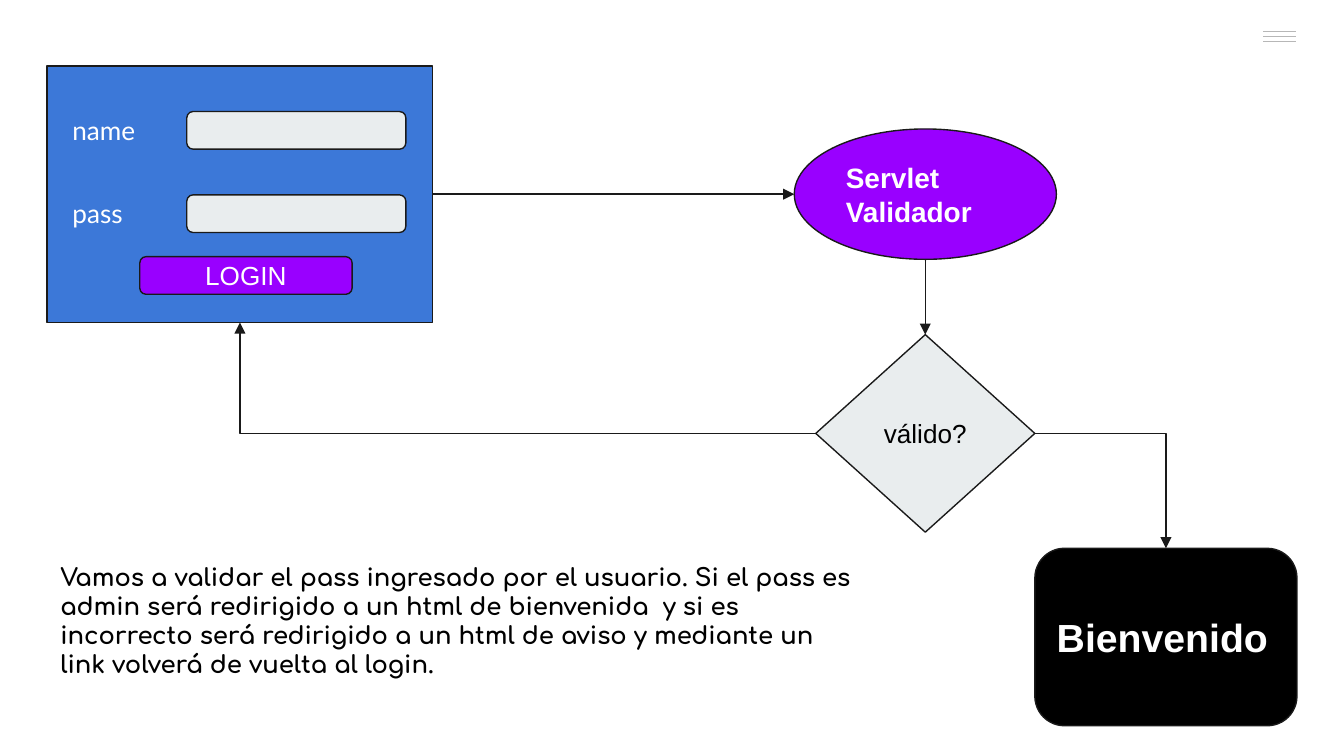
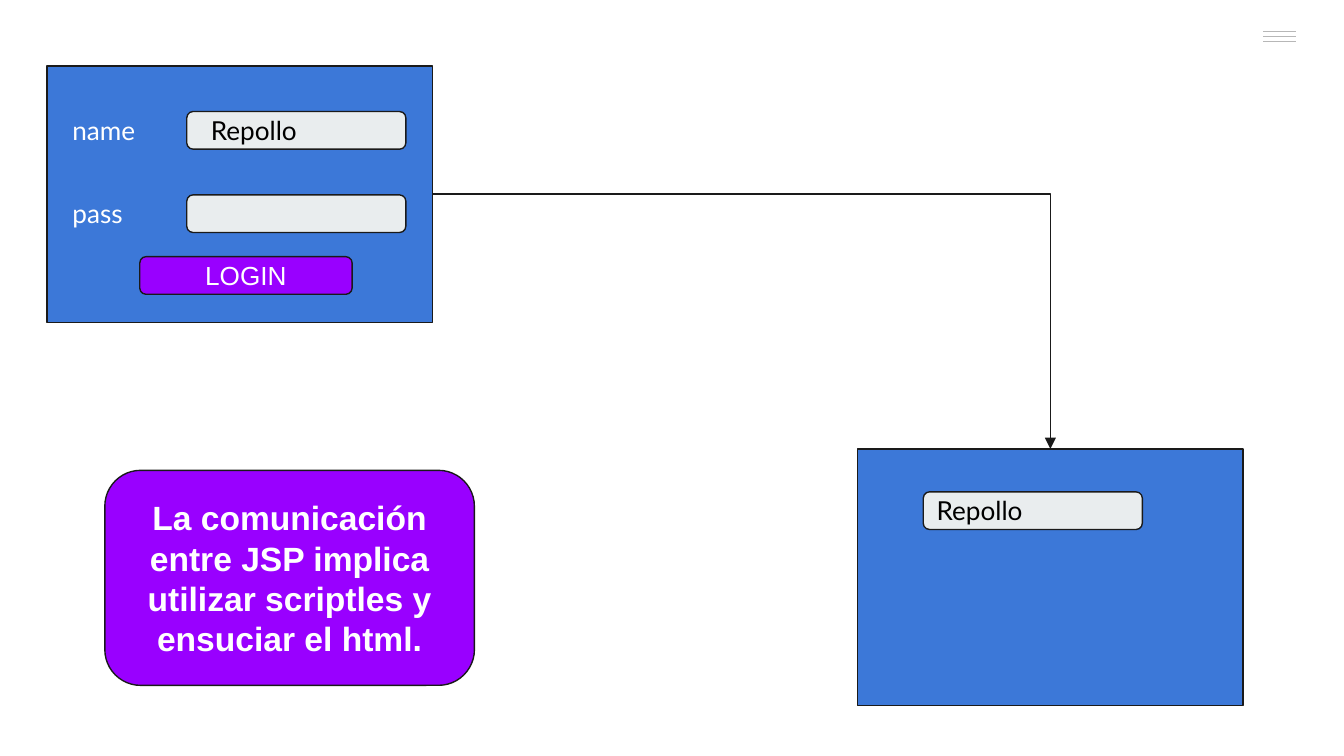
from dataclasses import dataclass
from lxml.etree import SubElement
from pptx import Presentation
from pptx.dml.color import RGBColor
from pptx.enum.shapes import MSO_CONNECTOR as CONN, MSO_SHAPE as SHAPE
from pptx.enum.text import MSO_ANCHOR, MSO_AUTO_SIZE, PP_ALIGN
from pptx.oxml.ns import qn
from pptx.util import Inches, Pt


@dataclass(frozen=True)
class Theme:
    white: str = "FFFFFF"
    black: str = "000000"
    ink: str = "1A1A1A"
    menu: str = "B7B7B7"
    panel: str = "3C78D8"
    field: str = "E9EDEE"
    accent: str = "9900FF"
    arial: str = "Arial"
    lato: str = "Lato"
    comfortaa: str = "Comfortaa"
    small: float = 13
    body: float = 14
    node: float = 15
    callout: float = 18
    big: float = 21
    stroke: float = 0.75


T = Theme()
TOP, LEFT, BOTTOM, RIGHT = range(4)

# Content; lengths are cells of a grid 100 columns wide, with square cells
PANEL_SIZE = (28.7, 19.1)
FIELD_SIZE = (16.3, 2.8)
LABEL_SIZE = (8.2, 4.4)
VALUE_SIZE = (13.7, 4.4)
FORM_AT = (3.5, 4.9)
FORM_ROWS = ["name", "pass"]
ROW_STEP = 6.2
WELCOME_AT = (63.8, 33.4)
USER = "Repollo"
VALIDATION_NOTE = (
    "Vamos a validar el pass ingresado por el usuario. Si el pass es admin "
    "será redirigido a un html de bienvenida  y si es incorrecto será "
    "redirigido a un html de aviso y mediante un link volverá de vuelta al login."
)
JSP_NOTE = "La comunicación entre JSP implica utilizar scriptles y ensuciar el html."

prs = Presentation()
prs.slide_width, prs.slide_height = Inches(10), Inches(5.625)
CELL = prs.slide_width / 100


def cells(*lengths):
    return [round(n * CELL) for n in lengths]


def rgb(color):
    return RGBColor.from_string(color)


# Text and shapes
def write(s, text, size, color, font=T.arial, bold=False, center=False):
    tf = s.text_frame
    tf.word_wrap = True
    tf.margin_left = tf.margin_right = tf.margin_top = tf.margin_bottom = Inches(0.1)
    p = tf.paragraphs[0]
    p.alignment = PP_ALIGN.CENTER if center else PP_ALIGN.LEFT
    r = p.add_run()
    r.text = text
    r.font.name, r.font.size, r.font.bold = font, Pt(size), bold
    r.font.color.rgb = rgb(color)
    return tf


def text_box(slide, at, size, text, points, color, font, bold=False):
    s = slide.shapes.add_textbox(*cells(*at, *size))
    tf = write(s, text, points, color, font, bold)
    tf.vertical_anchor = MSO_ANCHOR.TOP
    tf.auto_size = MSO_AUTO_SIZE.SHAPE_TO_FIT_TEXT


def block(slide, kind, at, size, fill, text="", points=T.body, color=T.white, **style):
    s = slide.shapes.add_shape(kind, *cells(*at, *size))
    s.shadow.inherit = False
    s.fill.solid()
    s.fill.fore_color.rgb = rgb(fill)
    s.line.color.rgb = rgb(T.ink)
    s.line.width = Pt(T.stroke)
    if text:
        write(s, text, points, color, **style).vertical_anchor = MSO_ANCHOR.MIDDLE
    return s


# Lines and arrows
def line(slide, kind, ends, color):
    c = slide.shapes.add_connector(kind, *ends)
    c.line.color.rgb = rgb(color)
    c.line.width = Pt(T.stroke)
    SubElement(c._element.spPr, qn("a:effectLst"))
    return c


def side_point(s, side):
    x, y = s.left + s.width // 2, s.top + s.height // 2
    return {TOP: (x, s.top), LEFT: (s.left, y),
            BOTTOM: (x, s.top + s.height), RIGHT: (s.left + s.width, y)}[side]


def arrow(slide, source, out_side, target, in_side, bent=False):
    start, end = side_point(source, out_side), side_point(target, in_side)
    c = line(slide, CONN.ELBOW if bent else CONN.STRAIGHT, (*start, *end), T.ink)
    # An ellipse numbers its eight sites differently, so it is only touched
    if source.auto_shape_type != SHAPE.OVAL:
        c.begin_connect(source, out_side)
    if target.auto_shape_type != SHAPE.OVAL:
        c.end_connect(target, in_side)
    pr = c._element.spPr
    SubElement(pr.find(qn("a:ln")), qn("a:tailEnd"), type="triangle")
    if bent:
        pr.find(qn("a:prstGeom")).set("prst", "bentConnector2")
        if end[0] < start[0] and end[1] < start[1]:  # half turn instead of two flips
            xfrm = pr.find(qn("a:xfrm"))
            for flip in ("flipH", "flipV"):
                xfrm.attrib.pop(flip, None)
            xfrm.set("rot", "10800000")


# Shared parts
def new_slide():
    slide = prs.slides.add_slide(prs.slide_layouts[6])
    slide.background.fill.solid()
    slide.background.fill.fore_color.rgb = rgb(T.white)
    for i in range(3):
        y = 2.35 + 0.37 * i
        line(slide, CONN.STRAIGHT, cells(94, y, 96.4, y), T.menu)
    return slide


def panel(slide, at):
    return block(slide, SHAPE.RECTANGLE, at, PANEL_SIZE, T.panel)


def field(slide, at):
    block(slide, SHAPE.ROUNDED_RECTANGLE, at, FIELD_SIZE, T.field)


def value(slide, at):
    text_box(slide, at, VALUE_SIZE, USER, T.body, T.black, T.lato)


def login_form(slide):
    x, y = FORM_AT
    form = panel(slide, FORM_AT)
    for i, label in enumerate(FORM_ROWS):
        row = y + ROW_STEP * i
        field(slide, (x + 10.4, row + 3.4))
        text_box(slide, (x + 0.9, row + 2.6), LABEL_SIZE, label, T.body, T.white, T.lato)
    block(slide, SHAPE.ROUNDED_RECTANGLE, (x + 6.9, y + 14.2), (15.8, 2.8),
          T.accent, "LOGIN", center=True)
    return form


def validation_slide():
    slide = new_slide()
    form = login_form(slide)
    servlet = block(slide, SHAPE.OVAL, (59.1, 9.6), (19.5, 9.7), T.accent,
                    "Servlet Validador", T.node, bold=True)
    valid = block(slide, SHAPE.DIAMOND, (60.7, 24.9), (16.3, 14.7), T.field,
                  "válido?", color=T.black)
    welcome = block(slide, SHAPE.ROUNDED_RECTANGLE, (77, 40.8), (19.5, 13.2), T.black,
                    "Bienvenido", T.big, bold=True)
    arrow(slide, form, RIGHT, servlet, LEFT)
    arrow(slide, servlet, BOTTOM, valid, TOP)
    arrow(slide, valid, LEFT, form, BOTTOM, bent=True)
    arrow(slide, valid, RIGHT, welcome, TOP, bent=True)
    text_box(slide, (3.5, 40.8), (61.2, 10.8), VALIDATION_NOTE, T.small, T.black,
             T.comfortaa, bold=True)


def jsp_slide():
    slide = new_slide()
    form = login_form(slide)
    value(slide, (FORM_AT[0] + 11.2, FORM_AT[1] + 2.6))
    x, y = WELCOME_AT
    welcome = panel(slide, WELCOME_AT)
    field(slide, (x + 4.9, y + 3.2))
    value(slide, (x + 4.9, y + 2.4))
    arrow(slide, form, RIGHT, welcome, TOP, bent=True)
    block(slide, SHAPE.ROUNDED_RECTANGLE, (7.8, 35), (27.5, 16), T.accent,
          JSP_NOTE, T.callout, bold=True, center=True)


if __name__ == "__main__":
    validation_slide()
    jsp_slide()
    prs.save("out.pptx")
